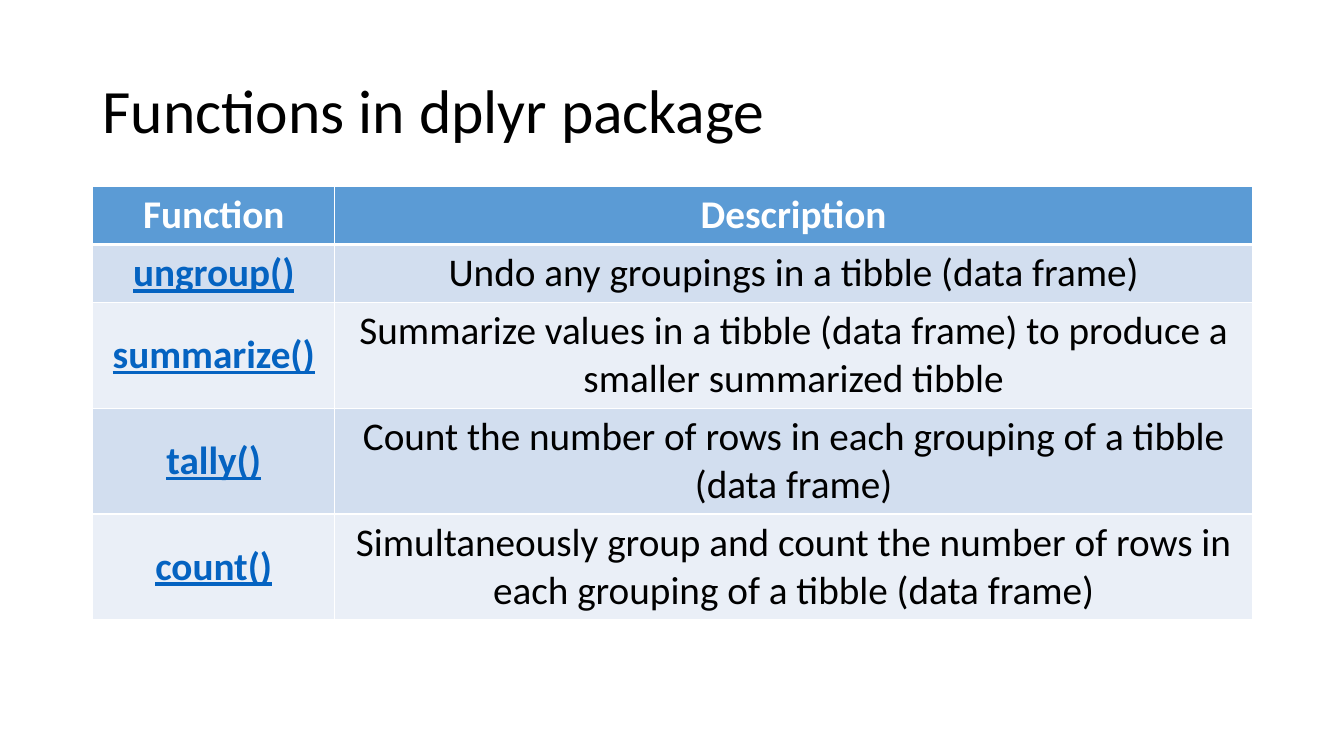
import pptx
import pptx.dml.color
import pptx.enum.text
import pptx.oxml
import pptx.oxml.ns
import pptx.util

COLORS = {
    "text": "000000",
    "link": "0563C1",
    "white": "FFFFFF",
    "header": "5B9BD5",
    "band_dark": "D2DEEF",
    "band_light": "EAEFF7",
}
FONT = "Calibri"
SLIDE_WIDTH, SLIDE_HEIGHT = 13.33, 7.5
MARGIN = 0.92
CONTENT_WIDTH = 11.5
COLUMN_SHARES = (2.4 / CONTENT_WIDTH, 9.1 / CONTENT_WIDTH)
TITLE_BOX = (MARGIN, 0.4, CONTENT_WIDTH, 1.45)
TABLE_BOX = (MARGIN, 1.85, CONTENT_WIDTH, 4.3)
# Lines of text that each row holds, header first
ROW_LINES = (1, 1, 2, 2, 2)
LINE_HEIGHT, CELL_PADDING = 0.475, 0.1

HEADINGS = ("Function", "Description")
FUNCTIONS = (
    ("ungroup()", "Undo any groupings in a tibble (data frame)"),
    ("summarize()", "Summarize values in a tibble (data frame) to produce a smaller summarized tibble"),
    ("tally()", "Count the number of rows in each grouping of a tibble (data frame)"),
    ("count()", "Simultaneously group and count the number of rows in each grouping of a tibble (data frame)"),
)


def color(name):
    return pptx.dml.color.RGBColor.from_string(COLORS[name])


def write_text(frame, text, size=28, fill="text", bold=False, underline=False,
               align=pptx.enum.text.PP_ALIGN.CENTER, spacing=None):
    para = frame.paragraphs[0]
    para.alignment = align
    para.line_spacing = spacing
    span = para.add_run()
    span.text = text
    span.font.name = FONT
    span.font.size = pptx.util.Pt(size)
    span.font.bold = bold
    span.font.underline = underline
    span.font.color.rgb = color(fill)


def set_borders(cell, **widths):
    """Draw white cell borders; widths gives points for L, R, T and B."""
    properties = cell._tc.get_or_add_tcPr()
    for side, width in widths.items():
        properties.append(pptx.oxml.parse_xml(
            f'<a:ln{side} {pptx.oxml.ns.nsdecls("a")} w="{pptx.util.Pt(width)}">'
            f'<a:solidFill><a:srgbClr val="{COLORS["white"]}"/></a:solidFill>'
            f'</a:ln{side}>'))


def add_title(page, box, text):
    title = page.shapes.add_textbox(*map(pptx.util.Inches, box))
    title.text_frame.word_wrap = True
    title.text_frame.vertical_anchor = pptx.enum.text.MSO_ANCHOR.MIDDLE
    write_text(title.text_frame, text, size=44, spacing=0.9,
               align=pptx.enum.text.PP_ALIGN.LEFT)


def add_function_table(page, box, headings, functions):
    rows = (headings, *functions)
    table = page.shapes.add_table(
        len(rows), len(headings), *map(pptx.util.Inches, box)).table
    for column, share in zip(table.columns, COLUMN_SHARES):
        column.width = pptx.util.Inches(box[2] * share)
    for row, lines in zip(table.rows, ROW_LINES):
        row.height = pptx.util.Inches(lines * LINE_HEIGHT + CELL_PADDING)

    for row_index, texts in enumerate(rows):
        is_header = row_index == 0
        band = "header" if is_header else "band_dark" if row_index % 2 else "band_light"
        for column_index, text in enumerate(texts):
            is_link = not is_header and column_index == 0
            cell = table.cell(row_index, column_index)
            set_borders(cell, L=1, R=1, T=3 if row_index == 1 else 1,
                        B=3 if is_header else 1)
            cell.fill.solid()
            cell.fill.fore_color.rgb = color(band)
            cell.vertical_anchor = pptx.enum.text.MSO_ANCHOR.MIDDLE
            write_text(cell.text_frame, text, bold=is_header or is_link,
                       underline=is_link,
                       fill="white" if is_header else "link" if is_link else "text")


def main():
    deck = pptx.Presentation()
    deck.slide_width = pptx.util.Inches(SLIDE_WIDTH)
    deck.slide_height = pptx.util.Inches(SLIDE_HEIGHT)
    page = deck.slides.add_slide(deck.slide_layouts[6])
    add_title(page, TITLE_BOX, "Functions in dplyr package")
    add_function_table(page, TABLE_BOX, HEADINGS, FUNCTIONS)
    deck.save("out.pptx")


if __name__ == "__main__":
    main()
